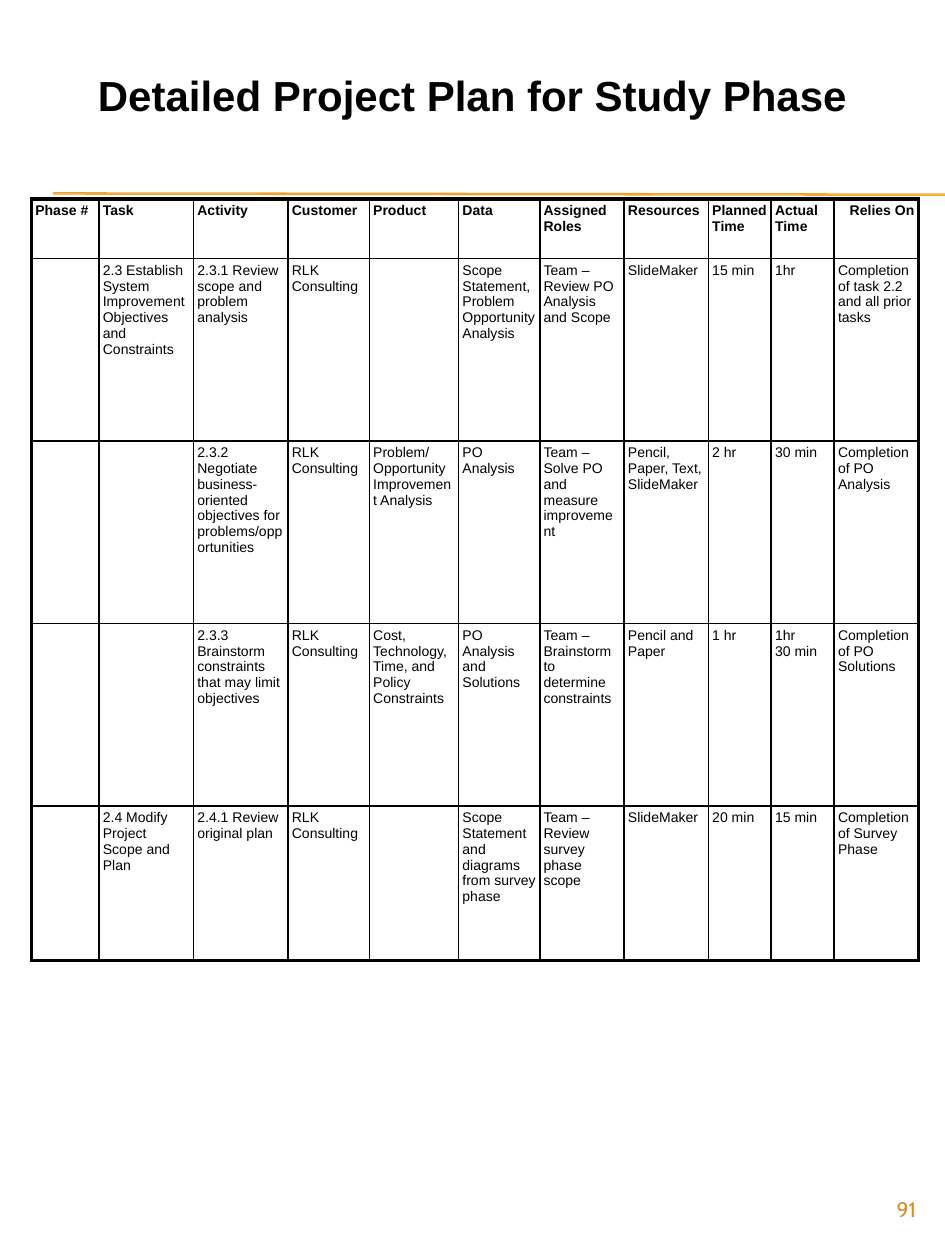
"""Build the detailed project plan slide for the study phase."""
from lxml import etree
from pptx import Presentation
from pptx import util as u
from pptx.dml.color import RGBColor
from pptx.enum import shapes, text
from pptx.oxml import ns

BLACK = RGBColor(0x00, 0x00, 0x00)
AMBER = RGBColor(0xF0, 0xA2, 0x2E)
OCHRE = RGBColor(0xD4, 0x8F, 0x29)
LEFT, CENTER, RIGHT = (text.PP_ALIGN.LEFT, text.PP_ALIGN.CENTER, text.PP_ALIGN.RIGHT)

COLUMNS = [38.6, 54, 54, 46.5, 51, 46.4, 48.2, 48.2, 35.9, 36, 48.1]
ROWS = [34, 104.3, 104.3, 104.3, 88.1]
CLIENT = "RLK Consulting"
SLIDES_APP = "SlideMaker"
PLAN = [
    ["Phase #", "Task", "Activity", "Customer", "Product", "Data", "Assigned Roles",
     "Resources", "Planned Time", "Actual Time", "Relies On"],
    ["", "2.3 Establish System Improvement Objectives and Constraints",
     "2.3.1 Review scope and problem analysis", CLIENT, "",
     "Scope Statement, Problem Opportunity Analysis",
     "Team – Review PO Analysis and Scope", SLIDES_APP, "15 min", "1hr",
     "Completion of task 2.2 and all prior tasks"],
    ["", "", "2.3.2 Negotiate business-oriented objectives for problems/opportunities",
     CLIENT, "Problem/Opportunity Improvement Analysis", "PO Analysis",
     "Team – Solve PO and measure improvement", f"Pencil, Paper, Text, {SLIDES_APP}",
     "2 hr", "30 min", "Completion of PO Analysis"],
    ["", "", "2.3.3 Brainstorm constraints that may limit objectives", CLIENT,
     "Cost, Technology, Time, and Policy Constraints", "PO Analysis and Solutions",
     "Team – Brainstorm to determine constraints", "Pencil and Paper", "1 hr",
     "1hr\n30 min", "Completion of PO Solutions"],
    ["", "2.4 Modify Project Scope and Plan", "2.4.1 Review original plan", CLIENT, "",
     "Scope Statement and diagrams from survey phase",
     "Team – Review survey phase scope", SLIDES_APP, "20 min", "15 min",
     "Completion of Survey Phase"],
]


class PlanPage:
    """Style and drawing methods for the current slide."""

    font = "Arial"
    cell_size = 8
    cell_inset = 2.2
    thin, thick = 1, 2.25

    def __init__(self, page):
        self.page = page

    def add_words(self, frame, words, size, color=BLACK, bold=False, align=LEFT, font=None):
        para = frame.paragraphs[0]
        para.alignment = align
        para.font.size = u.Pt(size)
        for index, line in enumerate(words.split("\n")):
            if index:
                para.add_line_break()
            if line:
                span = para.add_run()
                span.text = line
                span.font.name = font or self.font
                span.font.size = u.Pt(size)
                span.font.bold = bold
                span.font.color.rgb = color

    def label(self, words, left, top, width, height, size, **style):
        box = self.page.shapes.add_textbox(*map(u.Pt, (left, top, width, height)))
        box.text_frame.word_wrap = True
        self.add_words(box.text_frame, words, size, **style)

    def rule(self, x1, y1, x2, y2):
        line = self.page.shapes.add_connector(
            shapes.MSO_CONNECTOR.STRAIGHT, *map(u.Pt, (x1, y1, x2, y2)))
        line.line.color.rgb = AMBER
        line.line.width = u.Pt(0.75)
        etree.SubElement(line._element.spPr, ns.qn("a:effectLst"))

    def border(self, cell, side, width):
        edge = etree.SubElement(cell._tc.get_or_add_tcPr(), ns.qn(f"a:ln{side}"),
                                w=str(u.Pt(width)))
        fill = etree.SubElement(edge, ns.qn("a:solidFill"))
        etree.SubElement(fill, ns.qn("a:srgbClr"), val=str(BLACK))

    def table(self, left, top, columns, rows, plan):
        frame = self.page.shapes.add_table(
            len(rows), len(columns),
            *map(u.Pt, (left, top, sum(columns), sum(rows))))
        table = frame.table
        table.first_row = table.horz_banding = False
        for column, width in zip(table.columns, columns):
            column.width = u.Pt(width)
        last_row, last_column = len(rows) - 1, len(columns) - 1
        for r, height in enumerate(rows):
            table.rows[r].height = u.Pt(height)
            for c, words in enumerate(plan[r]):
                cell = table.cell(r, c)
                cell.margin_left = cell.margin_right = u.Pt(self.cell_inset)
                cell.margin_top = cell.margin_bottom = u.Pt(self.cell_inset)
                outer = {"L": c == 0, "R": c == last_column,
                         "T": r == 0, "B": r == last_row}
                for side, is_outer in outer.items():
                    self.border(cell, side, self.thick if is_outer else self.thin)
                cell.fill.background()
                align = RIGHT if r == 0 and c == last_column else LEFT
                self.add_words(cell.text_frame, words, self.cell_size,
                               bold=r == 0, align=align)


def main():
    deck = Presentation()
    deck.slide_width, deck.slide_height = u.Pt(540), u.Pt(720)
    plan_page = PlanPage(deck.slides.add_slide(deck.slide_layouts[6]))
    for top in (110.2, 110.9):
        plan_page.rule(30.2, top, 540, top + 0.7)
    plan_page.label("91", 486, 680, 44.6, 26, 12, color=OCHRE, align=RIGHT, font="Cabin")
    plan_page.table(18, 113.8, COLUMNS, ROWS, PLAN)
    plan_page.label("Detailed Project Plan for Study Phase", 0, 36, 540, 36, 24,
                    bold=True, align=CENTER)
    deck.save("out.pptx")


if __name__ == "__main__":
    main()
